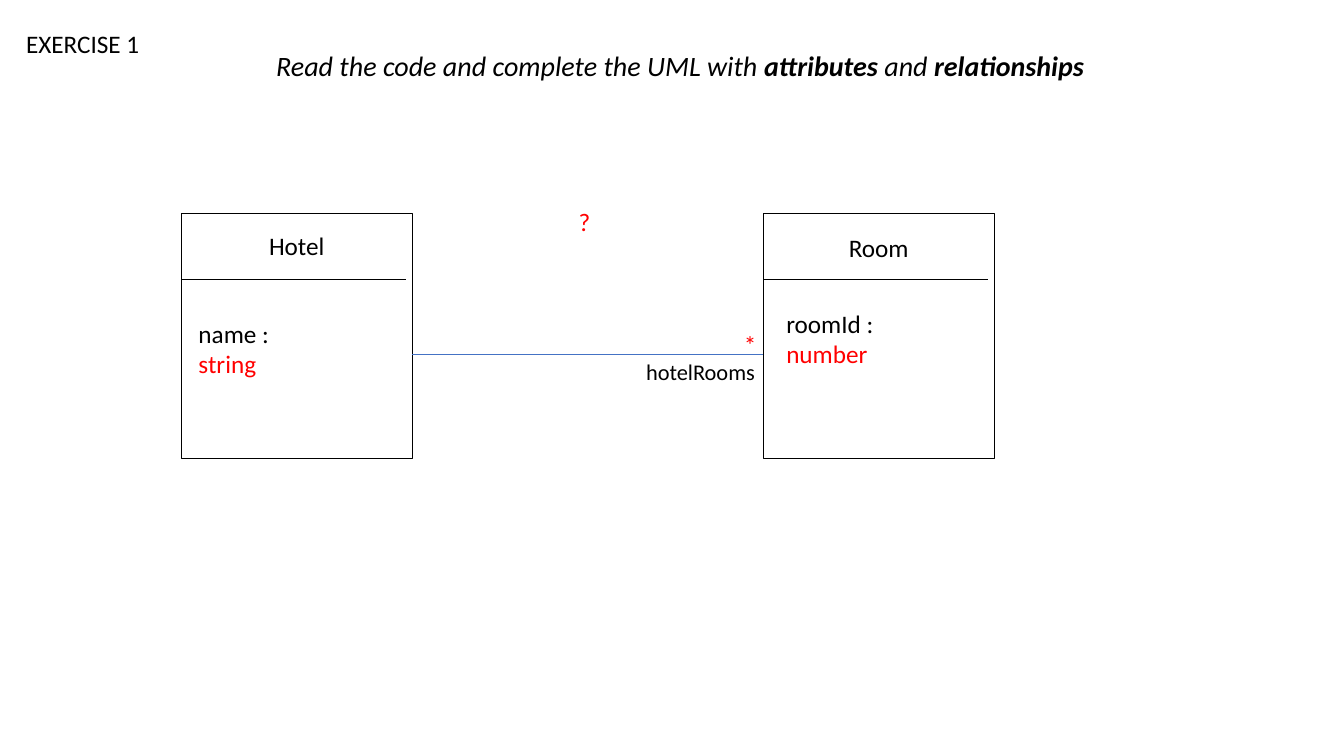
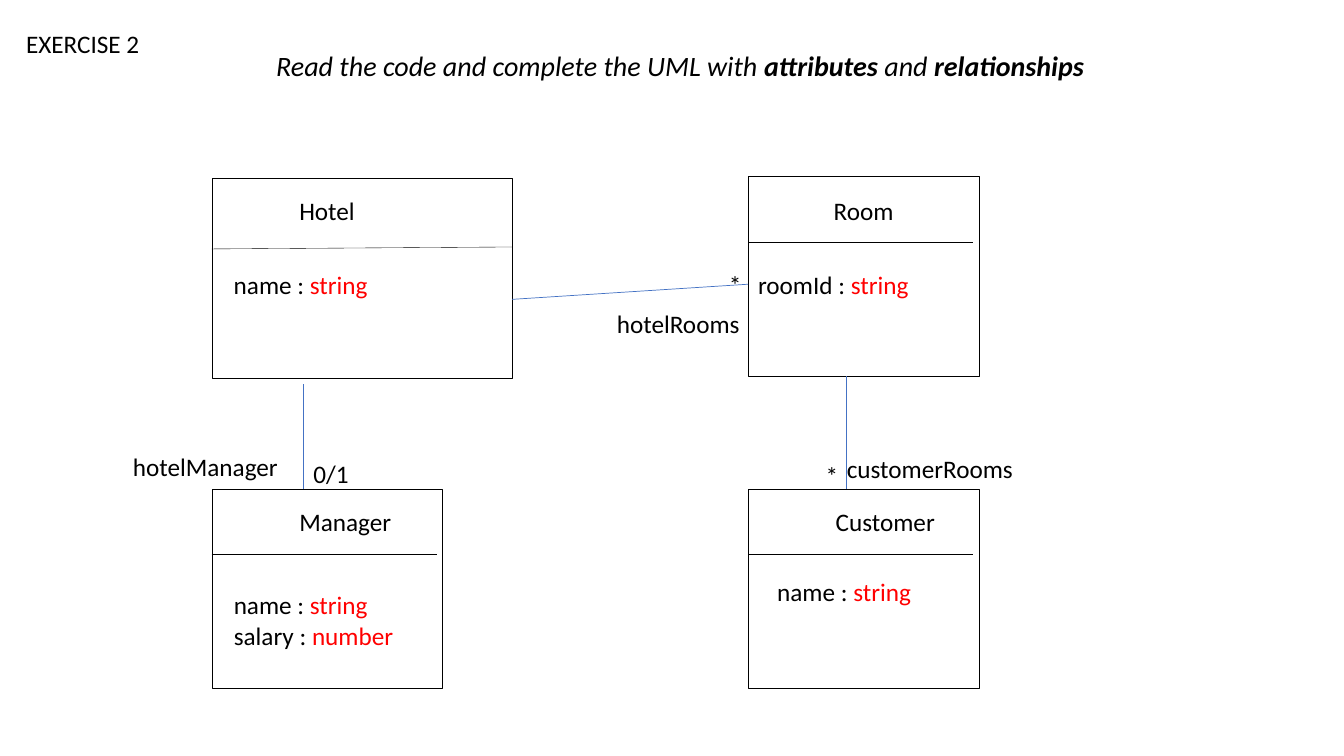
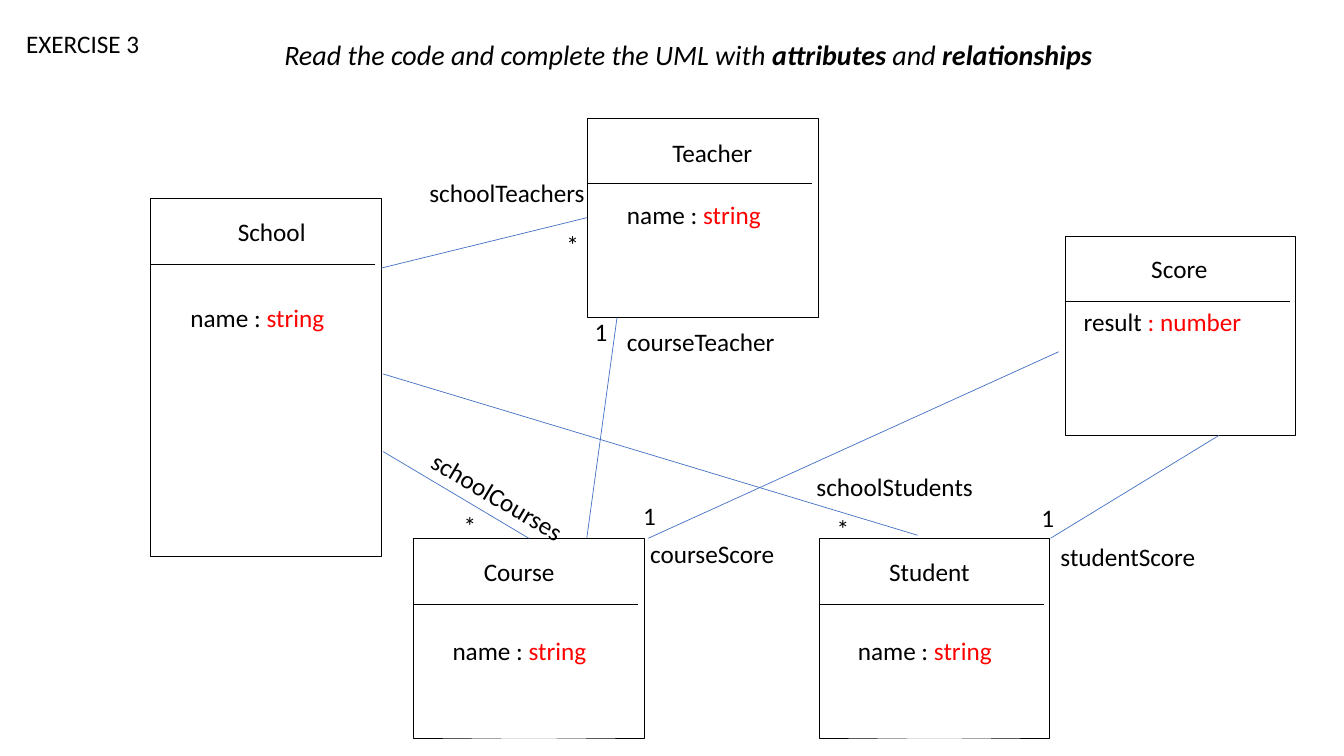
import dataclasses

import lxml.etree
import pptx
import pptx.dml.color
import pptx.enum.shapes
import pptx.enum.text
import pptx.oxml.ns
import pptx.util

Inches = pptx.util.Inches


@dataclasses.dataclass(frozen=True)
class Theme:
    font: str = "Calibri"
    ink: str = "000000"
    answer: str = "FF0000"
    paper: str = "FFFFFF"
    relation: str = "4472C4"
    title_size: int = 20
    body_size: int = 18
    small_size: int = 16
    outline_width: float = 0.25
    relation_width: float = 0.5


THEME = Theme()
LINE_HEIGHT = {16: 0.25, 18: 0.3, 20: 0.34}
BOX_WIDTH, BOX_HEIGHT = 2.29, 1.98
TOP, LEFT = 0, 1


def rgb(code):
    return pptx.dml.color.RGBColor.from_string(code)


# Text: each paragraph is a list of (words, format) pairs
def add_text(page, at, paragraphs, size=THEME.body_size, wrap=True,
             centred=False, rotation=0):
    left, top, width = at
    height = 0.1 + LINE_HEIGHT[size] * len(paragraphs)
    box = page.shapes.add_textbox(
        Inches(left), Inches(top), Inches(width), Inches(height))
    box.rotation = rotation
    frame = box.text_frame
    frame.word_wrap = wrap
    frame.auto_size = pptx.enum.text.MSO_AUTO_SIZE.SHAPE_TO_FIT_TEXT
    for index, spans in enumerate(paragraphs):
        para = frame.add_paragraph() if index else frame.paragraphs[0]
        if centred:
            para.alignment = pptx.enum.text.PP_ALIGN.CENTER
        for words, extra in spans:
            span = para.add_run()
            span.text = words
            values = {"name": THEME.font, "size": pptx.util.Pt(size),
                      "color": THEME.ink, **extra}
            span.font.color.rgb = rgb(values.pop("color"))
            for key, value in values.items():
                setattr(span.font, key, value)


def add_label(page, words, at, color=THEME.ink, **options):
    add_text(page, at, [[(words, {"color": color})]], **options)


# Lines: dividers and relations; a join is a (box, side) pair
def add_line(page, start, end, color=THEME.relation,
             width=THEME.relation_width, join=None):
    line = page.shapes.add_connector(
        pptx.enum.shapes.MSO_CONNECTOR.STRAIGHT,
        *(Inches(value) for value in (*start, *end)))
    line.line.color.rgb = rgb(color)
    line.line.width = pptx.util.Pt(width)
    lxml.etree.SubElement(line._element.spPr, pptx.oxml.ns.qn("a:effectLst"))
    if join:
        line.end_connect(*join)


# UML class: outline, name, divider and attributes
def add_class(page, name, corner, name_at, attributes_at, attributes,
              size=(BOX_WIDTH, BOX_HEIGHT), divider=(2.23, 0.65, 0.65),
              **options):
    left, top = corner
    box = page.shapes.add_shape(
        pptx.enum.shapes.MSO_SHAPE.RECTANGLE,
        *(Inches(value) for value in (*corner, *size)))
    box.shadow.inherit = False
    box.fill.solid()
    box.fill.fore_color.rgb = rgb(THEME.paper)
    box.line.color.rgb = rgb(THEME.ink)
    box.line.width = pptx.util.Pt(THEME.outline_width)

    across, down, name_width = name_at
    add_label(page, name, (left + across, top + down, name_width), wrap=False)
    length, start_drop, end_drop = divider
    add_line(page, (left, top + start_drop), (left + length, top + end_drop),
             THEME.ink, THEME.outline_width)
    add_text(page, attributes_at,
             [[(field, {}), (kind, {"color": THEME.answer})]
              for field, kind in attributes], **options)
    return box


# Shared heading of every exercise
def add_exercise(deck, number, title_at=(1.72, 0.43, 10.05)):
    page = deck.slides.add_slide(deck.slide_layouts[6])
    add_label(page, f"EXERCISE {number}", (0.16, 0.23, 1.34), wrap=False)
    plain = {"italic": True}
    strong = {"italic": True, "bold": True}
    add_text(page, title_at,
             [[("Read the code and complete the UML with ", plain),
               ("attributes", strong), (" and ", plain),
               ("relationships", strong)]],
             size=THEME.title_size, centred=True)
    return page


def build_hotel_rooms(deck):
    page = add_exercise(deck, 1)
    small = {"size": THEME.small_size, "wrap": False}
    for name, corner, name_at, attributes_at, attribute in (
        ("Hotel", (1.8, 2.12), (0.77, 0.12, 0.76), (1.87, 3.11, 1.39),
         ("name : ", "string")),
        ("Room", (7.57, 2.12), (0.75, 0.14, 0.8), (7.7, 3.01, 1.75),
         ("roomId : ", "number")),
    ):
        outline = page_class_options = {"divider": (2.23, 0.65, 0.65)}
        add_tall_class(page, name, corner, name_at, attributes_at,
                       attribute, small)
    add_line(page, (4.09, 3.52), (7.57, 3.52))
    add_label(page, "?", (5.64, 2, 0.32), THEME.answer, wrap=False)
    add_label(page, "*", (7.28, 3.22, 0.33), THEME.answer, wrap=False)
    add_label(page, "hotelRooms", (6.31, 3.5, 1.3), **small)


def add_tall_class(page, name, corner, name_at, attributes_at, attribute,
                   text_options):
    box = add_class(page, name, corner, name_at, attributes_at, [attribute],
                    (BOX_WIDTH, 2.43), (2.23, 0.65, 0.65))
    return box


def build_hotel_people(deck):
    page = add_exercise(deck, 2)
    name = ("name : ", "string")
    add_class(page, "Room", (7.42, 1.75), (0.75, 0.14, 0.8),
              (7.42, 2.62, 2.6), [("roomId : ", "string")])
    add_class(page, "Customer", (7.42, 4.85), (0.77, 0.12, 1.2),
              (7.61, 5.67, 2.11), [name])
    add_class(page, "Hotel", (2.1, 1.77), (0.77, 0.12, 0.76),
              (2.22, 2.62, 2.86), [name], size=(2.98, BOX_HEIGHT),
              divider=(2.98, 0.7, 0.68))
    add_class(page, "Manager", (2.1, 4.85), (0.77, 0.12, 1.12),
              (2.22, 5.8, 2.11), [name, ("salary : ", "number")])
    for start, end in (((5.08, 2.97), (7.42, 2.82)),
                       ((3.01, 4.85), (3.01, 3.81)),
                       ((8.39, 4.85), (8.39, 3.73))):
        add_line(page, start, end)
    for words, at in (("*", (7.13, 2.62, 0.59)),
                      ("hotelRooms", (6.02, 3.01, 1.59)),
                      ("0/1", (3.01, 4.5, 0.59)),
                      ("hotelManager", (1.22, 4.43, 1.79)),
                      ("customerRooms", (8.3, 4.45, 2.02)),
                      ("*", (8.09, 4.52, 0.59))):
        add_label(page, words, at)


def build_school(deck):
    page = add_exercise(deck, 3, title_at=(1.8, 0.32, 10.05))
    name = ("name : ", "string")
    add_class(page, "School", (1.49, 1.97), (0.77, 0.13, 0.88),
              (1.79, 2.95, 1.65), [name], size=(BOX_WIDTH, 3.55))
    teacher = add_class(page, "Teacher", (5.82, 1.17), (0.75, 0.14, 1),
                        (6.12, 1.93, 1.65), [name])
    add_class(page, "Student", (8.12, 5.34), (0.6, 0.13, 1.01),
              (8.41, 6.25, 1.65), [name])
    add_class(page, "Score", (10.56, 2.34), (0.76, 0.12, 0.77),
              (10.65, 2.99, 2.23), [("result ", ": number")])
    course = add_class(page, "Course", (4.1, 5.34), (0.6, 0.13, 0.91),
                       (4.39, 6.25, 2), [name])
    for start, end, join in (
        ((5.82, 5.34), (6.12, 3.15), None),
        ((3.8, 4.48), (5.25, 5.34), (course, TOP)),
        ((10.42, 5.34), (12.09, 4.32), None),
        ((6.43, 5.34), (10.5, 3.49), None),
        ((3.78, 2.66), (5.82, 2.16), (teacher, LEFT)),
        ((3.8, 3.71), (9.1, 5.31), None),
    ):
        add_line(page, start, end, join=join)
    for words, at in (("1", (5.8, 3.09, 0.59)),
                      ("*", (4.5, 5.01, 0.59)),
                      ("1", (10.23, 4.93, 0.59)),
                      ("studentScore", (10.42, 5.32, 1.64)),
                      ("1", (6.28, 4.91, 0.59)),
                      ("courseScore", (6.35, 5.29, 1.64)),
                      ("*", (8.2, 5.04, 0.59)),
                      ("schoolStudents", (8, 4.63, 1.8)),
                      ("schoolTeachers", (4.16, 1.71, 1.8)),
                      ("*", (5.52, 2.23, 0.59)),
                      ("courseTeacher", (6.12, 3.19, 1.8))):
        add_label(page, words, at)
    add_label(page, "schoolCourses", (4.1, 4.76, 1.8), rotation=30.6)


def main():
    deck = pptx.Presentation()
    deck.slide_width, deck.slide_height = Inches(13.33), Inches(7.5)
    build_hotel_rooms(deck)
    build_hotel_people(deck)
    build_school(deck)
    deck.save("out.pptx")


if __name__ == "__main__":
    main()
